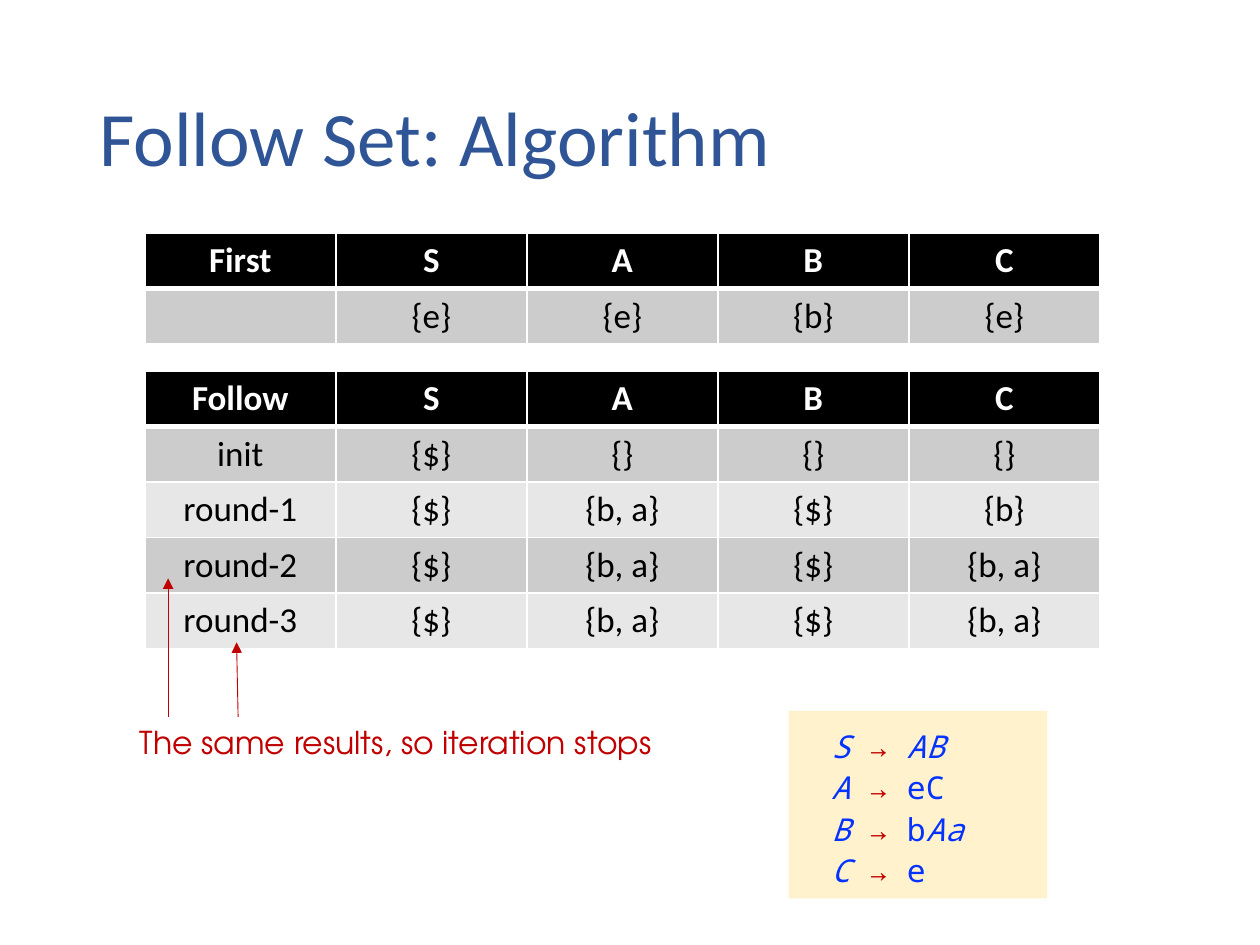
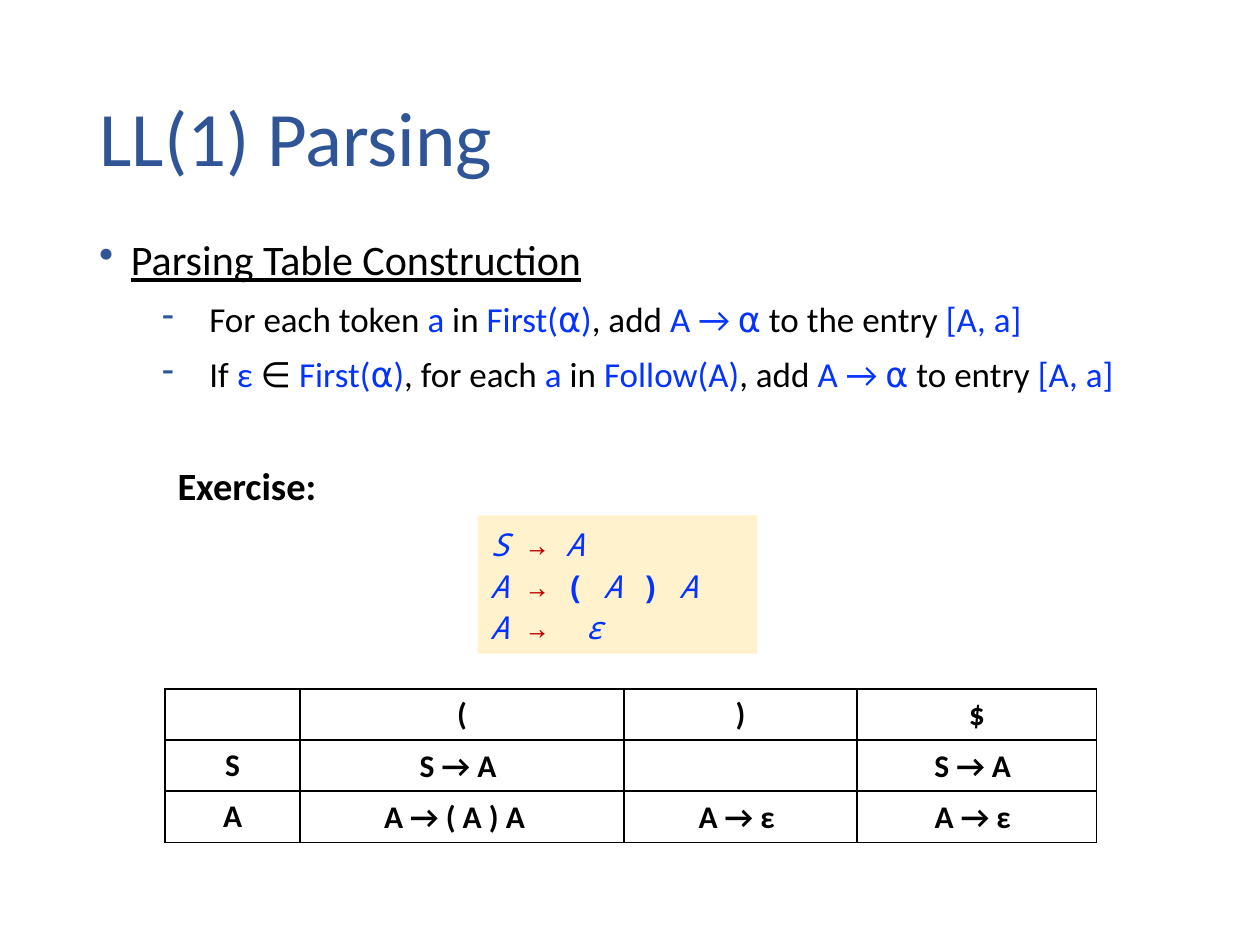
"""Builds two lecture slides on follow sets and LL(1) parsing tables."""
import pptx
import pptx.dml.color
import pptx.enum.shapes
import pptx.enum.text
import pptx.oxml
import pptx.util

Cm = pptx.util.Cm
Pt = pptx.util.Pt
RGBColor = pptx.dml.color.RGBColor
Align = pptx.enum.text.PP_ALIGN
Anchor = pptx.enum.text.MSO_ANCHOR

TITLE_BLUE = RGBColor(0x2F, 0x55, 0x97)
BRIGHT_BLUE = RGBColor(0x04, 0x32, 0xFF)
RED = RGBColor(0xC0, 0x00, 0x00)
CREAM = RGBColor(0xFF, 0xF2, 0xCC)
BLACK = RGBColor(0x00, 0x00, 0x00)
WHITE = RGBColor(0xFF, 0xFF, 0xFF)
DARK_BAND = RGBColor(0xCC, 0xCC, 0xCC)
LIGHT_BAND = RGBColor(0xE7, 0xE7, 0xE7)

BODY_FONT = "Calibri"
CODE_FONT = "Noto Sans Mono"
NOTE_FONT = "TeX Gyre Adventor"


def add_xml(parent, tag, **attributes):
    element = pptx.oxml.parse_xml(
        f'<a:{tag} xmlns:a="http://schemas.openxmlformats.org/drawingml/2006/main"/>')
    for name, value in attributes.items():
        element.set(name, str(value))
    parent.append(element)
    return element


def black(text):
    return text, BLACK, ""


def blue(text):
    return text, BRIGHT_BLUE, ""


def bold(text):
    return text, BRIGHT_BLUE, "b"


def italic(text):
    return text, BRIGHT_BLUE, "i"


def red(text):
    return text, RED, ""


class Deck:
    def __init__(self):
        self.presentation = pptx.Presentation()
        self.presentation.slide_width = Cm(25.4)
        self.presentation.slide_height = Cm(19.05)
        self.slide = None

    def add_runs(self, paragraph, runs, size, font=BODY_FONT, spacing=None, align=Align.LEFT):
        paragraph.alignment = align
        if spacing:
            paragraph.line_spacing = spacing
        for text, color, flags in runs:
            run = paragraph.add_run()
            run.text = text
            run.font.name = font
            run.font.size = Pt(size)
            run.font.color.rgb = color
            run.font.bold = "b" in flags
            run.font.italic = "i" in flags
            run.font.underline = "u" in flags

    def new_slide(self, title):
        self.slide = self.presentation.slides.add_slide(self.presentation.slide_layouts[5])
        shape = self.slide.shapes.title
        shape.left, shape.top, shape.width, shape.height = Cm(1.75), Cm(1.02), Cm(21.9), Cm(3.68)
        shape.text_frame.vertical_anchor = Anchor.MIDDLE
        self.add_runs(shape.text_frame.paragraphs[0], [(title, TITLE_BLUE, "")], 44, spacing=0.9)

    def text_frame(self, left, top, width, height, wrap=True):
        box = self.slide.shapes.add_textbox(Cm(left), Cm(top), Cm(width), Cm(height))
        box.text_frame.word_wrap = wrap
        return box.text_frame

    def label(self, left, top, width, height, run, size, font=BODY_FONT, align=Align.LEFT):
        frame = self.text_frame(left, top, width, height, wrap=False)
        self.add_runs(frame.paragraphs[0], [run], size, font, align=align)

    def bullets(self, left, top, width, height, items):
        frame = self.text_frame(left, top, width, height)
        for index, (mark, margin, hanging, size, runs) in enumerate(items):
            paragraph = frame.add_paragraph() if index else frame.paragraphs[0]
            properties = paragraph._p.get_or_add_pPr()
            properties.set("marL", str(Cm(margin)))
            properties.set("indent", str(-Cm(hanging)))
            add_xml(add_xml(properties, "buClr"), "srgbClr", val=TITLE_BLUE)
            add_xml(properties, "buChar", char=mark)
            if index:
                paragraph.space_before = Pt(10)
            self.add_runs(paragraph, runs, size, spacing=0.9)

    def panel(self, left, top, width, height):
        shape = self.slide.shapes.add_shape(
            pptx.enum.shapes.MSO_SHAPE.RECTANGLE, Cm(left), Cm(top), Cm(width), Cm(height))
        shape.shadow.inherit = False
        shape.fill.solid()
        shape.fill.fore_color.rgb = CREAM
        shape.line.fill.background()

    def grammar(self, left, top, width, height, rules):
        frame = self.text_frame(left, top, width, height)
        for index, runs in enumerate(rules):
            paragraph = frame.add_paragraph() if index else frame.paragraphs[0]
            self.add_runs(paragraph, runs, 18, CODE_FONT, 1.1)

    def arrow(self, start, end):
        connector = self.slide.shapes.add_connector(
            pptx.enum.shapes.MSO_CONNECTOR.STRAIGHT, *map(Cm, start + end))
        connector.line.color.rgb = RED
        connector.line.width = Pt(0.5)
        add_xml(connector.line._get_or_add_ln(), "tailEnd", type="triangle")
        add_xml(connector._element.spPr, "effectLst")

    def border(self, cell, color, top=1, bottom=1):
        properties = cell._tc.get_or_add_tcPr()
        for side, width in (("L", 1), ("R", 1), ("T", top), ("B", bottom)):
            line = add_xml(properties, f"ln{side}", w=Pt(width))
            add_xml(add_xml(line, "solidFill"), "srgbClr", val=color)

    def table(self, left, top, widths, row_height, rows):
        frame = self.slide.shapes.add_table(
            len(rows), len(widths), Cm(left), Cm(top), Cm(sum(widths)), Cm(row_height * len(rows)))
        table = frame.table
        table.first_row = table.horz_banding = False
        for column, width in zip(table.columns, widths):
            column.width = Cm(width)
        for row in table.rows:
            row.height = Cm(row_height)
        return table

    def fill_cell(self, cell, text, color, flags, size):
        if text:
            self.add_runs(cell.text_frame.paragraphs[0], [(text, color, flags)], size,
                          align=Align.CENTER)

    def banded_table(self, top, rows):
        table = self.table(2.92, top, [3.85] * 5, 1.11, rows)
        for row_index, row in enumerate(rows):
            header = row_index == 0
            band = BLACK if header else DARK_BAND if row_index % 2 else LIGHT_BAND
            color, flags = (WHITE, "b") if header else (BLACK, "")
            for column_index, text in enumerate(row):
                cell = table.cell(row_index, column_index)
                self.border(cell, WHITE, 3 if row_index == 1 else 1, 3 if header else 1)
                cell.fill.solid()
                cell.fill.fore_color.rgb = band
                self.fill_cell(cell, text, color, flags, 20)

    def outlined_table(self, left, top, widths, row_height, rows):
        table = self.table(left, top, widths, row_height, rows)
        for row_index, row in enumerate(rows):
            for column_index, text in enumerate(row):
                cell = table.cell(row_index, column_index)
                self.border(cell, BLACK)
                cell.fill.background()
                self.fill_cell(cell, text, BLACK, "b", 18)


def follow_set_slide(deck):
    deck.new_slide("Follow Set: Algorithm")
    symbols = ["S", "A", "B", "C"]
    deck.banded_table(7.48, [
        ["Follow"] + symbols,
        ["init", "{$}", "{}", "{}", "{}"],
        ["round-1", "{$}", "{b, a}", "{$}", "{b}"],
        ["round-2", "{$}", "{b, a}", "{$}", "{b, a}"],
        ["round-3", "{$}", "{b, a}", "{$}", "{b, a}"],
    ])
    deck.arrow((3.39, 14.45), (3.39, 11.66))
    deck.arrow((4.8, 14.45), (4.77, 12.95))
    deck.banded_table(4.7, [["First"] + symbols, ["", "{e}", "{e}", "{b}", "{e}"]])
    deck.panel(15.9, 14.33, 5.21, 3.78)
    deck.grammar(16.51, 14.45, 4.01, 3.63, [
        [italic("S "), red("→ "), italic("AB")],
        [italic("A "), red("→"), blue(" eC")],
        [italic("B "), red("→"), blue(" b"), italic("Aa")],
        [italic("C "), red("→"), blue(" e")],
    ])
    deck.label(2.57, 14.45, 11.51, 1.02, red("The same results, so iteration stops"), 18, NOTE_FONT)


def parsing_slide(deck):
    deck.new_slide("LL(1) Parsing")
    deck.bullets(1.75, 4.7, 23.65, 3.78, [
        ("•", 0.64, 0.64, 24, [("Parsing Table Construction", BLACK, "u")]),
        ("-", 2.22, 0.95, 20, [
            black("For each token "), blue("a"), black(" in "), blue("First(⍺)"),
            black(", add "), blue("A → ⍺"), black(" to the entry "), blue("[A, a]")]),
        ("-", 2.22, 0.95, 20, [
            black("If "), blue("ε"), black(" ∈ "), blue("First(⍺)"), black(", for each "),
            blue("a"), black(" in "), blue("Follow(A)"), black(", add "), blue("A → ⍺"),
            black(" to entry "), blue("[A, a]")]),
    ])
    deck.panel(9.63, 10.39, 5.64, 2.79)
    deck.grammar(9.63, 10.39, 7.24, 2.79, [
        [italic("S "), red("→ "), italic("A")],
        [italic("A "), red("→ "), bold("( "), italic("A "), bold(") "), italic("A")],
        [italic("A "), red("→  "), italic("ε")],
    ])
    left, top, row_height = 3.33, 13.89, 1.03
    widths = [2.72, 6.53, 4.7, 4.82]
    deck.outlined_table(left, top, widths, row_height, [
        ["", "(", ")", "$"], ["S", "", "", ""], ["A", "", "", ""]])
    deck.label(left, 9.19, 3.35, 1.19, ("Exercise:", BLACK, "b"), 22)
    entries = [(1, 1, 2.13, "S → A"), (2, 1, 3.58, "A → ( A ) A "), (1, 3, 2.13, "S → A"),
               (2, 2, 2.11, "A → ε"), (2, 3, 2.11, "A → ε")]
    for row, column, width, text in entries:
        center = left + sum(widths[:column]) + widths[column] / 2 - 0.08
        deck.label(center - width / 2, top + row * row_height, width, 1.02,
                   (text, BLACK, "b"), 18, align=Align.CENTER)


def main():
    deck = Deck()
    follow_set_slide(deck)
    parsing_slide(deck)
    deck.presentation.save("out.pptx")


if __name__ == "__main__":
    main()
